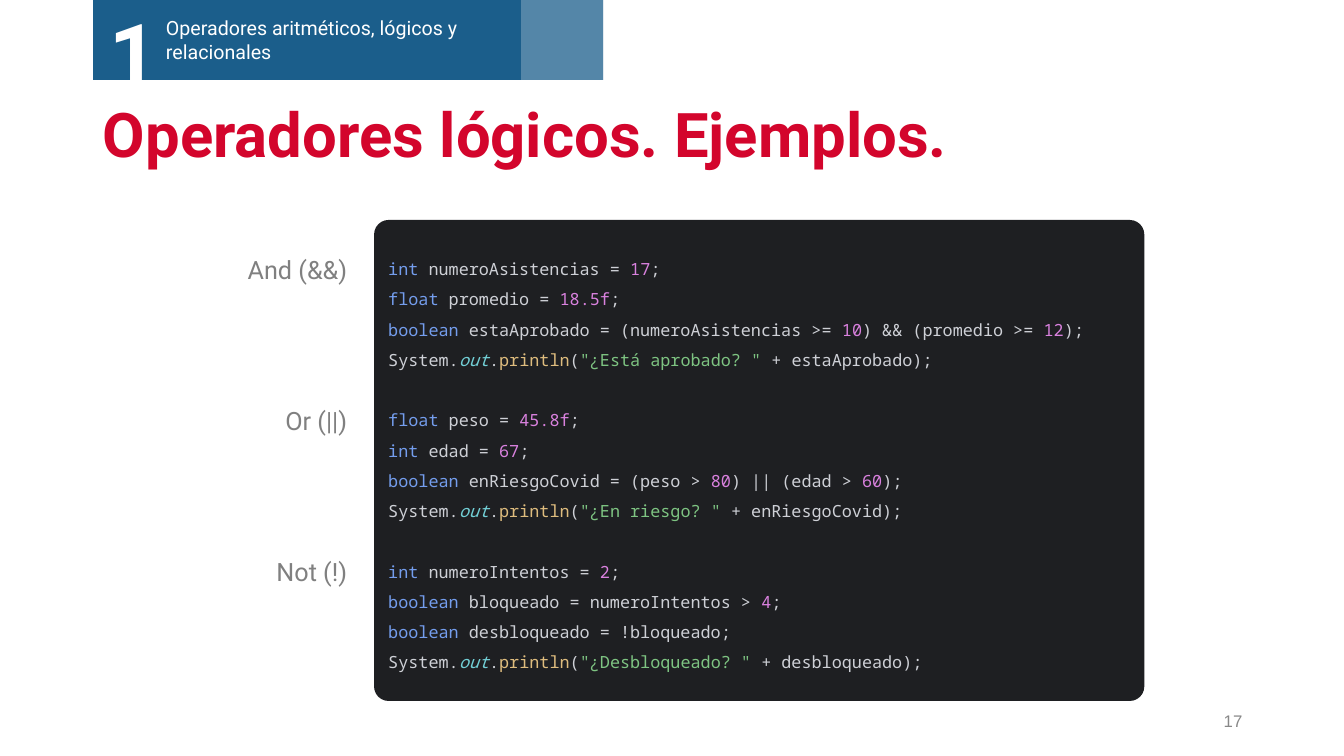
"""Builds the slide with examples of logical operators."""
from lxml import etree
from pptx import Presentation
from pptx.dml.color import RGBColor
from pptx.enum.shapes import MSO_SHAPE
from pptx.enum.text import MSO_ANCHOR, PP_ALIGN
from pptx.oxml.ns import qn
from pptx.util import Emu, Inches, Pt

RECT, ROUND = MSO_SHAPE.RECTANGLE, MSO_SHAPE.ROUNDED_RECTANGLE
LEFT, RIGHT = PP_ALIGN.LEFT, PP_ALIGN.RIGHT
TOP, MIDDLE = MSO_ANCHOR.TOP, MSO_ANCHOR.MIDDLE

WHITE = RGBColor(0xFF, 0xFF, 0xFF)
BLUE = RGBColor(0x1B, 0x5E, 0x8B)
RED = RGBColor(0xD3, 0x05, 0x2C)
GRAY = RGBColor(0x80, 0x80, 0x80)
PALE = RGBColor(0x88, 0x88, 0x88)
DARK = RGBColor(0x1E, 0x1F, 0x22)
PLAIN = RGBColor(0xCE, 0xD0, 0xD6)
WORD = RGBColor(0x74, 0x9D, 0xED)
NUM = RGBColor(0xD9, 0x81, 0xDE)
FIELD = RGBColor(0x72, 0xCF, 0xD6)
CALL = RGBColor(0xDE, 0xBC, 0x7E)
QUOTE = RGBColor(0x7E, 0xC4, 0x82)


def declare(kind, *parts):
    """Return the colored parts of a declaration; numbers are every second part."""
    tail = [(text, NUM if i % 2 else PLAIN) for i, text in enumerate(parts)]
    return [(kind + " ", WORD)] + tail


def show(ask, name):
    """Return the colored parts of a print statement."""
    return [("System.", PLAIN), ("out", FIELD), (".", PLAIN), ("println", CALL),
            ("(", PLAIN), (f'"{ask} " ', QUOTE), (f"+ {name});", PLAIN)]


TITLE = "Operadores lógicos. Ejemplos."
TOPIC = "Operadores aritméticos, lógicos y relacionales"
CASES = [
    ("And (&&)", [
        declare("int", "numeroAsistencias = ", "17", ";"),
        declare("float", "promedio = ", "18.5f", ";"),
        declare("boolean", "estaAprobado = (numeroAsistencias >= ", "10",
                ") && (promedio >= ", "12", ");"),
        show("¿Está aprobado?", "estaAprobado"),
    ]),
    ("Or (||)", [
        declare("float", "peso = ", "45.8f", ";"),
        declare("int", "edad = ", "67", ";"),
        declare("boolean", "enRiesgoCovid = (peso > ", "80",
                ") || (edad > ", "60", ");"),
        show("¿En riesgo?", "enRiesgoCovid"),
    ]),
    ("Not (!)", [
        declare("int", "numeroIntentos = ", "2", ";"),
        declare("boolean", "bloqueado = numeroIntentos > ", "4", ";"),
        declare("boolean", "desbloqueado = !bloqueado;"),
        show("¿Desbloqueado?", "desbloqueado"),
    ]),
]
GAP = Pt(21.6)
STEP = 151


def px(*sizes):
    """Turn pixels into EMU."""
    return [Emu(round(n * 914400 / 100.8)) for n in sizes]


def style(par, size, color=None, face="Roboto", bold=False):
    """Set the font of a paragraph."""
    font = par.font
    font.size, font.name, font.bold = Pt(size), face, bold
    if color is not None:
        font.color.rgb = color


def block(slide, kind, box, color):
    """Add a plain filled shape."""
    shape = slide.shapes.add_shape(kind, *px(*box))
    shape.shadow.inherit = False
    shape.fill.solid()
    shape.fill.fore_color.rgb = color
    shape.line.fill.background()
    return shape


def label(slide, box, text, size, color, face="Roboto", bold=False,
          align=LEFT, anchor=TOP):
    """Add a text box with one paragraph."""
    frame = slide.shapes.add_textbox(*px(*box)).text_frame
    frame.word_wrap = True
    frame.vertical_anchor = anchor
    par = frame.paragraphs[0]
    par.text, par.alignment = text, align
    style(par, size, color, face, bold)
    return par


def listing(slide):
    """Add the code panel and the name of each operator."""
    panel = block(slide, ROUND, (374, 220, 770, 481), DARK)
    panel.adjustments[0] = 0.03
    frame = panel.text_frame
    frame.word_wrap = True
    frame.vertical_anchor = MIDDLE
    for i, (name, lines) in enumerate(CASES):
        label(slide, (233, 249 + i * STEP, 124, 40), name, 18, GRAY, align=RIGHT)
        for j, parts in enumerate(lines):
            par = frame.add_paragraph() if i or j else frame.paragraphs[0]
            par.alignment, par.line_spacing = LEFT, 1.5
            if i and not j:
                par.space_before = GAP
            style(par, 12, face="Noto Sans Mono")
            for text, color in parts:
                run = par.add_run()
                run.text = text
                run.font.color.rgb = color
                if color == FIELD:
                    run.font.italic = True


def header(slide):
    """Add the banner with the chapter number and topic."""
    block(slide, RECT, (93, -1, 510, 81), BLUE)
    label(slide, (156, 11, 338, 57), TOPIC, 14, WHITE)
    label(slide, (100, -4, 113, 112), "1", 60, WHITE, bold=True)
    veil = block(slide, RECT, (521, -1, 82, 81), WHITE)
    tint = veil.fill._xPr.find(qn("a:solidFill"))[0]
    etree.SubElement(tint, qn("a:alpha"), val="25000")


def main():
    """Build and save the slide."""
    deck = Presentation()
    deck.slide_width, deck.slide_height = Inches(13.33), Inches(7.5)
    slide = deck.slides.add_slide(deck.slide_layouts[6])
    title = label(slide, (93, 94, 1159, 87), TITLE, 44, RED, bold=True, anchor=MIDDLE)
    title.line_spacing = 0.9
    label(slide, (950, 701, 302, 40), "17", 12, PALE, "Arial",
          align=RIGHT, anchor=MIDDLE)
    listing(slide)
    header(slide)
    deck.save("out.pptx")


if __name__ == "__main__":
    main()
